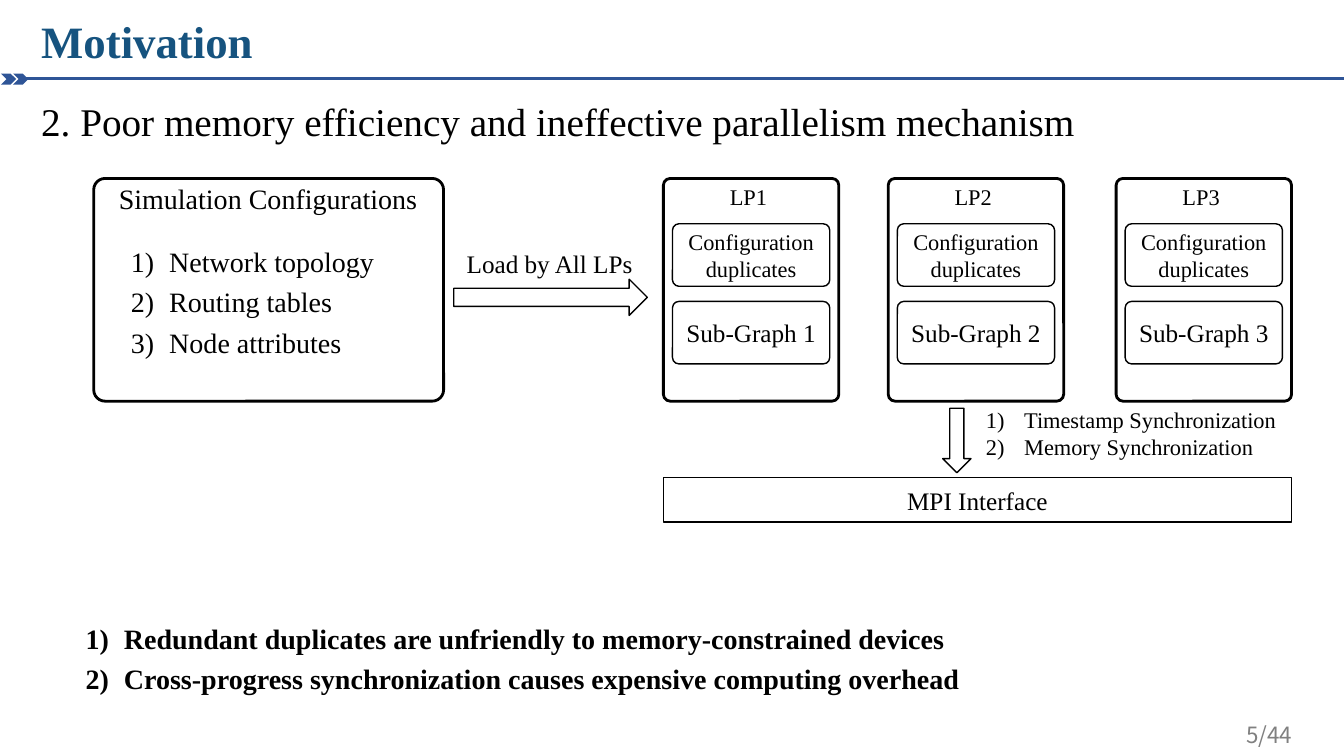
"""Build the Motivation slide on memory efficiency and parallelism."""
import pptx
import pptx.util
import pptx.dml.color
import pptx.enum.shapes
import pptx.enum.text
import pptx.oxml
import pptx.oxml.ns
import lxml.etree

Inches, Pt = pptx.util.Inches, pptx.util.Pt
RGBColor = pptx.dml.color.RGBColor
SHAPE = pptx.enum.shapes.MSO_SHAPE
ALIGN = pptx.enum.text.PP_ALIGN
ANCHOR = pptx.enum.text.MSO_ANCHOR
qn = pptx.oxml.ns.qn

BLACK = RGBColor(0x00, 0x00, 0x00)
WHITE = RGBColor(0xFF, 0xFF, 0xFF)
RULE = RGBColor(0x2F, 0x55, 0x97)
TITLE = RGBColor(0x16, 0x53, 0x7F)
GREY = RGBColor(0x80, 0x80, 0x80)
SERIF, SANS = "Times New Roman", "Noto Sans CJK SC"

LABELS = [
    (["Motivation"], (0.31, 0.09, 2.32, 0.64), {"size": 32, "color": TITLE, "bold": True, "wrap": False}),
    (["2. Poor memory efficiency and ineffective parallelism mechanism"],
     (0.31, 0.92, 10.57, 0.57), {"size": 28}),
    (["Simulation Configurations"], (1.08, 1.75, 3.24, 0.44), {"size": 20}),
    (["Load by All LPs"], (4.53, 2.41, 1.92, 0.4), {"size": 18}),
    (["5/44"], (12.26, 7.11, 0.79, 0.37), {"size": 16, "name": SANS, "color": GREY, "wrap": False}),
]
LISTS = [
    (["Network topology", "Routing tables", "Node attributes"],
     (1.2, 2.31, 2.81, 1.28), {"size": 20, "spacing": 1.2}),
    (["Timestamp Synchronization", "Memory Synchronization"],
     (9.68, 3.98, 3.13, 0.64), {"size": 16}),
    (["Redundant duplicates are unfriendly to memory-constrained devices",
      "Cross-progress synchronization causes expensive computing overhead"],
     (0.75, 6.05, 10.41, 0.87), {"size": 20, "bold": True, "spacing": 1.2}),
]
PROCESSES = [("LP1", "Sub-Graph 1", 6.58), ("LP2", "Sub-Graph 2", 8.81), ("LP3", "Sub-Graph 3", 11.07)]
DUPLICATES = "Configuration duplicates"
CARD_TOP, CARD_W, CARD_H = 1.77, 1.74, 2.21
INNER_W, INNER_H = 1.56, 0.62
CHEVRONS = (0.01, 0.13)


def write(tf, lines, size, name=SERIF, color=BLACK, bold=False, align=ALIGN.LEFT,
          spacing=1.0, wrap=True, numbered=False):
    tf.word_wrap = wrap
    for i, line in enumerate(lines):
        p = tf.paragraphs[0] if i == 0 else tf.add_paragraph()
        for key, value in {"alignment": align, "line_spacing": spacing}.items():
            setattr(p, key, value)
        if numbered:
            ppr = p._p.get_or_add_pPr()
            ppr.set("marL", str(Inches(0.38)))
            ppr.set("indent", str(-Inches(0.38)))
            lxml.etree.SubElement(ppr, qn("a:buAutoNum"), type="arabicParenR")
        r = p.add_run()
        r.text = line
        for key, value in {"size": Pt(size), "name": name, "bold": bold}.items():
            setattr(r.font, key, value)
        r.font.color.rgb = color


def add_label(slide, lines, box, **fmt):
    sp = slide.shapes.add_textbox(*map(Inches, box))
    write(sp.text_frame, lines, **fmt)


def add_box(slide, kind, box, text=None, size=18, weight=1, radius=None, fill=WHITE, line=BLACK):
    sp = slide.shapes.add_shape(kind, *map(Inches, box))
    sp.shadow.inherit = False
    sp.fill.solid()
    sp.fill.fore_color.rgb = fill
    if line is None:
        sp.line.fill.background()
    else:
        sp.line.color.rgb = line
        sp.line.width = Pt(weight)
    if radius is not None:
        sp.adjustments[0] = radius
    if text:
        sp.text_frame.vertical_anchor = ANCHOR.MIDDLE
        write(sp.text_frame, [text], size, align=ALIGN.CENTER)


def add_header(slide):
    ln = slide.shapes.add_connector(pptx.enum.shapes.MSO_CONNECTOR.STRAIGHT,
                                    *map(Inches, (0.21, 0.78, 13.33, 0.78)))
    ln.line.color.rgb = RULE
    ln.line.width = Pt(2.25)
    lxml.etree.SubElement(ln._element.spPr, qn("a:effectLst"))
    for left in CHEVRONS:
        add_box(slide, SHAPE.CHEVRON, (left, 0.73, 0.15, 0.11), fill=RULE, line=None)


def add_process(slide, name, graph, left):
    inner = left + (CARD_W - INNER_W) / 2
    add_box(slide, SHAPE.ROUNDED_RECTANGLE, (left, CARD_TOP, CARD_W, CARD_H), weight=2, radius=0.039)
    add_label(slide, [name], (left + 0.56, CARD_TOP, 0.63, 0.37), size=16)
    for text, top, size in ((DUPLICATES, 2.22, 16), (graph, 2.99, 18)):
        add_box(slide, SHAPE.ROUNDED_RECTANGLE, (inner, top, INNER_W, INNER_H), text, size, radius=0.104)


def main():
    prs = pptx.Presentation()
    prs.slide_width, prs.slide_height = Inches(13.33), Inches(7.5)
    slide = prs.slides.add_slide(prs.slide_layouts[6])
    add_header(slide)
    add_box(slide, SHAPE.ROUNDED_RECTANGLE, (0.93, CARD_TOP, 3.47, CARD_H), weight=2, radius=0.051)
    for process in PROCESSES:
        add_process(slide, *process)
    add_box(slide, SHAPE.RIGHT_ARROW, (4.5, 2.77, 1.92, 0.36))
    add_box(slide, SHAPE.DOWN_ARROW, (9.35, 4.05, 0.28, 0.64))
    add_box(slide, SHAPE.RECTANGLE, (6.58, 4.74, 6.23, 0.44), "MPI Interface")
    for lines, box, fmt in LABELS:
        add_label(slide, lines, box, **fmt)
    for lines, box, fmt in LISTS:
        add_label(slide, lines, box, numbered=True, **fmt)
    prs.save("out.pptx")


if __name__ == "__main__":
    main()
